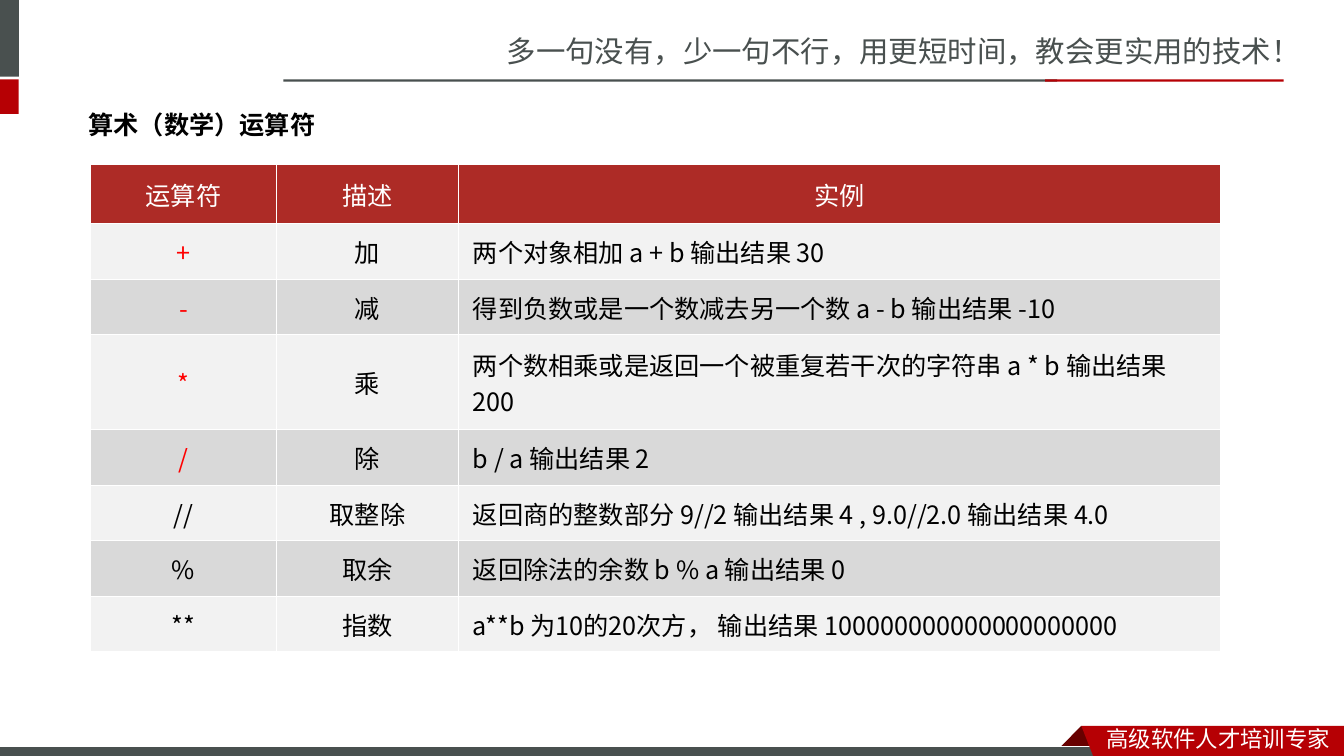
from dataclasses import dataclass

from lxml import etree
from pptx import Presentation
from pptx.dml.color import RGBColor
from pptx.enum.shapes import MSO_SHAPE
from pptx.enum.text import MSO_ANCHOR, PP_ALIGN
from pptx.oxml.ns import qn
from pptx.util import Cm, Pt

RECT = MSO_SHAPE.RECTANGLE
MIDDLE = MSO_ANCHOR.MIDDLE
LEFT, CENTER = PP_ALIGN.LEFT, PP_ALIGN.CENTER


@dataclass(frozen=True)
class Theme:
    gray: str = "49504F"
    red: str = "B60004"
    dark: str = "680000"
    head: str = "AD2B26"
    bands: tuple = ("F2F2F2", "D9D9D9")
    mark: str = "FF0000"
    black: str = "000000"
    white: str = "FFFFFF"
    motto: int = 21
    body: int = 18
    foot: int = 16
    sans: str = "Noto Sans CJK SC"
    cell: str = "Noto Sans CJK JP"
    title: str = "Calibri"
    label: str = "Lato"


class Page:
    def __init__(self, slide, theme):
        self.shapes = slide.shapes
        self.theme = theme

    def paint(self, shape, color):
        shape.shadow.inherit = False
        shape.fill.solid()
        shape.fill.fore_color.rgb = RGBColor.from_string(color)
        shape.line.fill.background()

    def style(self, para, size, color, face, bold=False, align=LEFT):
        para.alignment = align
        font = para.font
        font.size = Pt(size)
        font.bold = bold
        font.color.rgb = RGBColor.from_string(color)
        font.name = face
        asian = face if "CJK" in face else self.theme.sans
        etree.SubElement(font._element, qn("a:ea"), typeface=asian)

    def bar(self, x, y, w, h, color, edge=None):
        shape = self.shapes.add_shape(RECT, Cm(x), Cm(y), Cm(w), Cm(h))
        self.paint(shape, color)
        if edge:
            shape.line.color.rgb = RGBColor.from_string(edge)
            shape.line.width = Pt(0.75)

    def fold(self, points, color):
        first, *rest = [(Cm(x), Cm(y)) for x, y in points]
        path = self.shapes.build_freeform(*first)
        path.add_line_segments(rest)
        self.paint(path.convert_to_shape(), color)

    def text(self, x, y, w, h, words, size, color, face, bold=False, wrap=True):
        frame = self.shapes.add_textbox(Cm(x), Cm(y), Cm(w), Cm(h)).text_frame
        frame.word_wrap = wrap
        frame.text = words
        self.style(frame.paragraphs[0], size, color, face, bold)

    def cell(self, cell, words, fill, color, face, align):
        cell.fill.solid()
        cell.fill.fore_color.rgb = RGBColor.from_string(fill)
        cell.vertical_anchor = MIDDLE
        cell.margin_left = cell.margin_right = Cm(0.36)
        cell.margin_top = cell.margin_bottom = Cm(0.15)
        cell.text = words
        self.style(cell.text_frame.paragraphs[0], self.theme.body, color, face, align=align)

    def table(self, x, y, widths, heights, head, rows, marked):
        look = self.theme
        grid = self.shapes.add_table(
            len(heights), len(widths), Cm(x), Cm(y), Cm(sum(widths)), Cm(sum(heights))
        ).table
        for column, width in zip(grid.columns, widths):
            column.width = Cm(width)
        for row, height in zip(grid.rows, heights):
            row.height = Cm(height)
        for c, words in enumerate(head):
            self.cell(grid.cell(0, c), words, look.head, look.white, look.label, CENTER)
        for r, row in enumerate(rows):
            for c, words in enumerate(row):
                color = look.mark if c == 0 and words in marked else look.black
                align = CENTER if c < 2 else LEFT
                self.cell(grid.cell(r + 1, c), words, look.bands[r % 2], color, look.cell, align)


HEAD = ("运算符", "描述", "实例")
ROWS = (
    ("+", "加", "两个对象相加 a + b 输出结果 30"),
    ("-", "减", "得到负数或是一个数减去另一个数 a - b 输出结果 -10"),
    ("*", "乘", "两个数相乘或是返回一个被重复若干次的字符串 a * b 输出结果 200"),
    ("/", "除", "b / a 输出结果 2"),
    ("//", "取整除", "返回商的整数部分 9//2 输出结果 4 , 9.0//2.0 输出结果 4.0"),
    ("%", "取余", "返回除法的余数 b % a 输出结果 0"),
    ("**", "指数", "a**b 为10的20次方， 输出结果 100000000000000000000"),
)


def main():
    deck = Presentation()
    deck.slide_width, deck.slide_height = Cm(33.87), Cm(19.05)
    look = Theme()
    page = Page(deck.slides.add_slide(deck.slide_layouts[6]), look)

    page.text(12.52, 0.71, 21.36, 1.14, "多一句没有，少一句不行，用更短时间，教会更实用的技术！",
              look.motto, look.gray, look.sans)
    page.bar(-0.15, 0, 0.63, 1.93, look.gray)
    page.bar(-0.15, 2, 0.62, 0.87, look.red)
    page.bar(7.14, 2, 19.5, 0.06, look.gray)
    page.bar(26.34, 2, 6.01, 0.06, look.red)

    page.fold([(27.25, 18.29), (27.81, 18.85), (27.79, 18.87), (26.72, 18.87),
               (26.7, 18.85), (27.25, 18.29)], look.dark)
    page.bar(-0.03, 18.82, 27.94, 0.3, look.gray, edge=look.white)
    page.fold([(27.25, 18.29), (33.87, 18.29), (33.87, 19.15), (27.58, 19.13),
               (27.25, 18.29)], look.red)
    page.text(27.64, 18.16, 6.22, 0.94, "高级软件人才培训专家", look.foot, look.white, look.sans)

    page.text(1.98, 2.62, 6.25, 1.02, "算术（数学）运算符",
              look.body, look.black, look.title, bold=True, wrap=False)
    heights = [1.5] + [2.39 if row[0] == "*" else 1.4 for row in ROWS]
    page.table(2.29, 4.14, (4.67, 4.6, 19.2), heights, HEAD, ROWS, ("+", "-", "*", "/"))

    deck.save("out.pptx")


if __name__ == "__main__":
    main()
